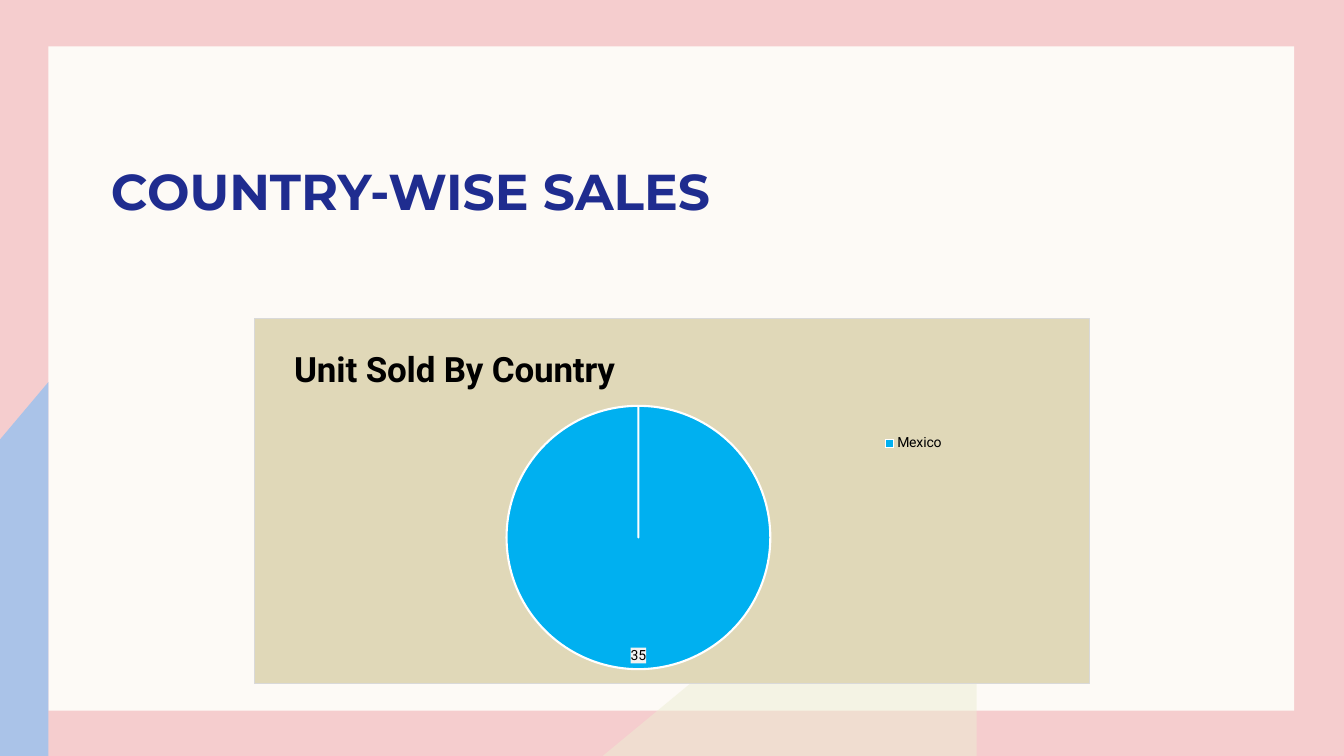
from lxml import etree
from pptx import Presentation
from pptx.chart.data import CategoryChartData
from pptx.dml.color import RGBColor
from pptx.enum.chart import XL_CHART_TYPE, XL_LABEL_POSITION, XL_LEGEND_POSITION
from pptx.enum.shapes import MSO_SHAPE
from pptx.enum.text import MSO_ANCHOR, MSO_AUTO_SIZE, PP_ALIGN
from pptx.oxml import parse_xml
from pptx.oxml.ns import nsdecls, qn
from pptx.util import Pt

PIE = XL_CHART_TYPE.PIE
INSIDE_END = XL_LABEL_POSITION.INSIDE_END
LEGEND_RIGHT = XL_LEGEND_POSITION.RIGHT
RECTANGLE = MSO_SHAPE.RECTANGLE
BOTTOM = MSO_ANCHOR.BOTTOM
LEFT = PP_ALIGN.LEFT
NO_AUTOFIT = MSO_AUTO_SIZE.NONE

# Content
TITLE = "COUNTRY-WISE SALES"
CHART_TITLE = "Unit Sold By Country"
SERIES_NAME = "Series 1"
UNITS_SOLD = {"Mexico": 35}

# Places in points: left, top, width, height
SLIDE_SIZE = (960, 540)
PANEL_AT = (34.56, 33.12, 889.92, 474.48)
TITLE_AT = (72, 85, 499.7, 116.6)
CHART_AT = (181.44, 226.8, 596.88, 262.08)
TITLE_BOTTOM_INSET = 44

# Corners in points
CREAM_CORNER = [(430.56, 540), (697.68, 319), (697.68, 540)]
BLUE_CORNER = [(34.56, 272.88), (34.56, 540), (0, 540), (0, 313.92)]

# Places inside the chart, as shares of its size
CHART_TITLE_PLACE = {"x": 0.04, "y": 0.06}
PIE_PLACE = {"x": 0.3, "y": 0.24, "w": 0.32, "h": 0.72}
LEGEND_PLACE = {"x": 0.75, "y": 0.31}


class Theme:
    background = "F5CDCE"
    panel = "FDFAF6"
    cream = "EDEED3"
    blue = "AAC3E8"
    title = "1F2C8F"
    chart_fill = "E0D8B8"
    chart_border = "D9D9D9"
    slice = "00B0F0"
    slice_border = "FFFFFF"
    label_fill = "F2F2F2"
    ink = "000000"
    title_font = "Montserrat"
    chart_font = "Roboto"
    title_size = 36
    chart_title_size = 25
    chart_size = 10


def points(values):
    return [Pt(value) for value in values]


def format_font(font, name, size, color, bold=False):
    font.name = name
    font.size = Pt(size)
    font.bold = bold
    font.color.rgb = RGBColor.from_string(color)


def write_text(frame, text, **style):
    para = frame.paragraphs[0]
    para.alignment = LEFT
    span = para.add_run()
    span.text = text
    format_font(span.font, **style)


def paint(shape, color, opacity=100):
    shape.shadow.inherit = False
    shape.fill.solid()
    shape.fill.fore_color.rgb = RGBColor.from_string(color)
    shape.line.fill.background()
    if opacity < 100:
        tone = shape.element.spPr.find(".//" + qn("a:srgbClr"))
        etree.SubElement(tone, qn("a:alpha"), val=str(opacity * 1000))


def add_corner(page, corners, color, opacity=100):
    start, *others = [points(corner) for corner in corners]
    builder = page.shapes.build_freeform(*start)
    builder.add_line_segments(others, close=True)
    paint(builder.convert_to_shape(), color, opacity)


def place_part(element, place, after=None):
    """Set a manual layout on a part of the chart."""
    for old in element.findall(qn("c:layout")):
        element.remove(old)
    layout = etree.Element(qn("c:layout"))
    manual = etree.SubElement(layout, qn("c:manualLayout"))
    if "w" in place:
        etree.SubElement(manual, qn("c:layoutTarget"), val="inner")
    for axis in "xy":
        etree.SubElement(manual, qn(f"c:{axis}Mode"), val="edge")
    for key, share in place.items():
        etree.SubElement(manual, qn(f"c:{key}"), val=str(share))
    if after:
        element.find(qn(after)).addnext(layout)
    else:
        element.insert(0, layout)


def area_format(fill, border=None):
    line = ""
    if border:
        line = (f'<a:ln w="{Pt(0.75)}"><a:solidFill><a:srgbClr val="{border}"/>'
                "</a:solidFill></a:ln>")
    return parse_xml(
        f'<c:spPr {nsdecls("c", "a")}><a:solidFill><a:srgbClr val="{fill}"/>'
        f"</a:solidFill>{line}</c:spPr>")


def add_background(page):
    page.background.fill.solid()
    page.background.fill.fore_color.rgb = RGBColor.from_string(Theme.background)
    panel = page.shapes.add_shape(RECTANGLE, *points(PANEL_AT))
    paint(panel, Theme.panel)
    add_corner(page, CREAM_CORNER, Theme.cream, opacity=50)
    add_corner(page, BLUE_CORNER, Theme.blue)


def add_title(page):
    box = page.shapes.title
    box.left, box.top, box.width, box.height = points(TITLE_AT)
    frame = box.text_frame
    frame.word_wrap = True
    frame.auto_size = NO_AUTOFIT
    frame.vertical_anchor = BOTTOM
    frame.margin_left = frame.margin_right = Pt(7.2)
    frame.margin_top = 0
    frame.margin_bottom = Pt(TITLE_BOTTOM_INSET)
    write_text(frame, TITLE, name=Theme.title_font, size=Theme.title_size,
               color=Theme.title, bold=True)
    # Bring the title in front of the panel
    box.element.getparent().append(box.element)


def add_pie(page):
    data = CategoryChartData()
    data.categories = list(UNITS_SOLD)
    data.add_series(SERIES_NAME, list(UNITS_SOLD.values()))
    chart = page.shapes.add_chart(PIE, *points(CHART_AT), data).chart
    small = dict(name=Theme.chart_font, size=Theme.chart_size, color=Theme.ink)
    format_font(chart.font, **small)
    body = chart.element.find(qn("c:chart"))
    body.addnext(area_format(Theme.chart_fill, Theme.chart_border))

    # Chart title
    chart.has_title = True
    write_text(chart.chart_title.text_frame, CHART_TITLE, name=Theme.chart_font,
               size=Theme.chart_title_size, color=Theme.ink, bold=True)
    place_part(body.find(qn("c:title")), CHART_TITLE_PLACE, after="c:tx")

    # Legend
    chart.has_legend = True
    chart.legend.position = LEGEND_RIGHT
    chart.legend.include_in_layout = False
    format_font(chart.legend.font, **small)
    place_part(body.find(qn("c:legend")), LEGEND_PLACE, after="c:legendPos")

    # Slice and its value
    plot = chart.plots[0]
    plot.vary_by_categories = True
    place_part(body.find(qn("c:plotArea")), PIE_PLACE)
    piece = plot.series[0].points[0].format
    piece.fill.solid()
    piece.fill.fore_color.rgb = RGBColor.from_string(Theme.slice)
    piece.line.color.rgb = RGBColor.from_string(Theme.slice_border)
    piece.line.width = Pt(1.5)
    labels = plot.series[0].data_labels
    labels.show_value = True
    labels.position = INSIDE_END
    format_font(labels.font, **small)
    text_format = body.find(".//" + qn("c:dLbls") + "/" + qn("c:txPr"))
    text_format.addprevious(area_format(Theme.label_fill))


def main():
    deck = Presentation()
    deck.slide_width, deck.slide_height = points(SLIDE_SIZE)
    page = deck.slides.add_slide(deck.slide_layouts[5])
    add_background(page)
    add_title(page)
    add_pie(page)
    deck.save("out.pptx")


if __name__ == "__main__":
    main()
